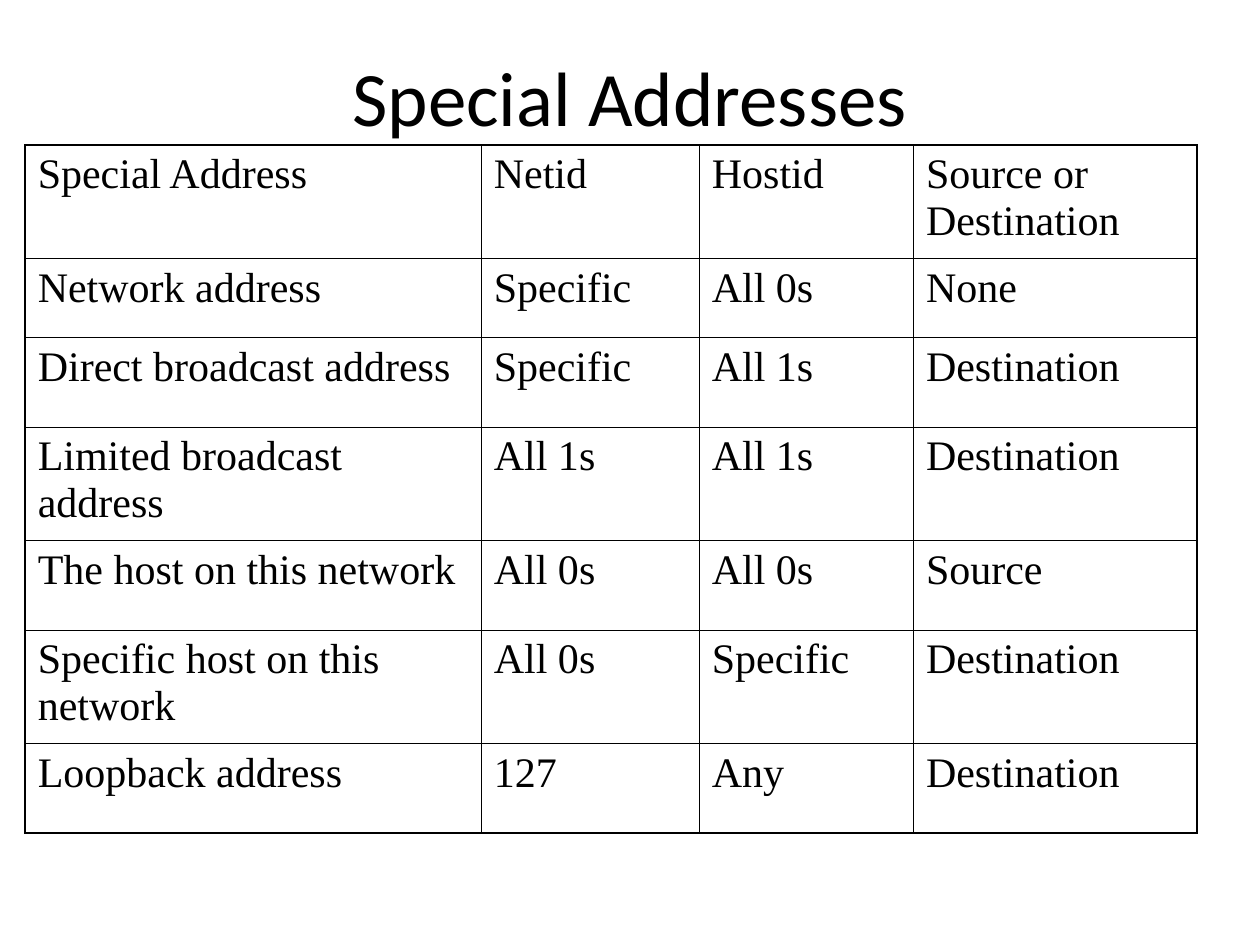
import lxml.etree
import pptx
import pptx.dml.color
import pptx.enum.text
import pptx.oxml.ns
import pptx.util
from pptx.util import Inches

COLORS = {"text": "000000", "border": "000000", "background": "FFFFFF"}
OUTER, INNER = 1.08, 0.45  # border widths in points

COLUMN_WIDTHS = [3.62, 1.73, 1.7, 2.25]
ROW_HEIGHTS = [0.9, 0.63, 0.71, 0.9, 0.71, 0.9, 0.71]
ADDRESSES = [
    ["Special Address", "Netid", "Hostid", "Source or Destination"],
    ["Network address", "Specific", "All 0s", "None"],
    ["Direct broadcast address", "Specific", "All 1s", "Destination"],
    ["Limited broadcast address", "All 1s", "All 1s", "Destination"],
    ["The host on this network", "All 0s", "All 0s", "Source"],
    ["Specific host on this network", "All 0s", "Specific", "Destination"],
    ["Loopback address", "127", "Any", "Destination"],
]


def rgb(name):
    return pptx.dml.color.RGBColor.from_string(COLORS[name])


def format_runs(p, font, size):
    for r in p.runs:
        r.font.name = font
        r.font.size = pptx.util.Pt(size)
        r.font.color.rgb = rgb("text")


def add_title(s, text):
    tf = s.shapes.add_textbox(Inches(0.5), Inches(0.3), Inches(9), Inches(1.25)).text_frame
    tf.word_wrap = True
    tf.margin_top = Inches(0.09)
    tf.text = text
    p = tf.paragraphs[0]
    p.alignment = pptx.enum.text.PP_ALIGN.CENTER
    format_runs(p, "Calibri", 44)


def set_borders(cell, widths):
    """Draw the borders; their elements come before the fill in a:tcPr."""
    qn = pptx.oxml.ns.qn
    tcPr = cell._tc.get_or_add_tcPr()
    for i, (side, width) in enumerate(widths.items()):
        ln = lxml.etree.Element(qn("a:ln" + side), w=str(int(pptx.util.Pt(width))))
        fill = lxml.etree.SubElement(ln, qn("a:solidFill"))
        lxml.etree.SubElement(fill, qn("a:srgbClr"), val=COLORS["border"])
        tcPr.insert(i, ln)


def add_address_table(s, data):
    rows, cols = len(data), len(data[0])
    table = s.shapes.add_table(
        rows, cols, Inches(0.2), Inches(1.15),
        Inches(sum(COLUMN_WIDTHS)), Inches(sum(ROW_HEIGHTS))).table
    table.first_row = table.horz_banding = False
    for column, width in zip(table.columns, COLUMN_WIDTHS):
        column.width = Inches(width)
    for row, height in zip(table.rows, ROW_HEIGHTS):
        row.height = Inches(height)

    for i, values in enumerate(data):
        for j, value in enumerate(values):
            cell = table.cell(i, j)
            cell.text_frame.text = value
            format_runs(cell.text_frame.paragraphs[0], "Times New Roman", 24)
            cell.fill.background()
            set_borders(cell, {
                "L": OUTER if j == 0 else INNER,
                "R": OUTER if j == cols - 1 else INNER,
                "T": OUTER if i == 0 else INNER,
                "B": OUTER if i == rows - 1 else INNER,
            })


def main():
    prs = pptx.Presentation()
    prs.slide_width, prs.slide_height = Inches(10), Inches(7.5)
    s = prs.slides.add_slide(prs.slide_layouts[6])
    s.background.fill.solid()
    s.background.fill.fore_color.rgb = rgb("background")

    # Heading
    add_title(s, "Special Addresses")
    # Address table
    add_address_table(s, ADDRESSES)

    prs.save("out.pptx")


if __name__ == "__main__":
    main()
